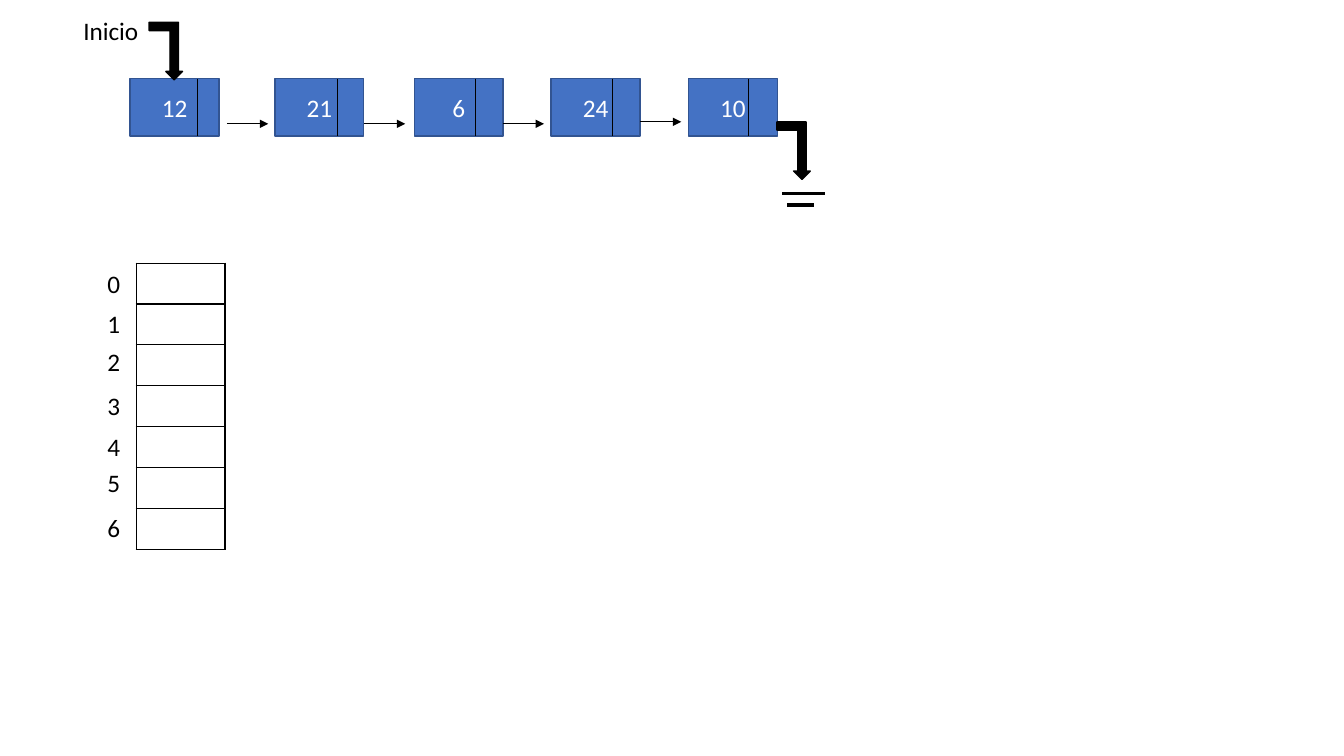
from pptx import Presentation
from pptx.util import Cm, Pt
from pptx.dml.color import RGBColor
from pptx.enum import shapes as sh, text as tx
from pptx.oxml import parse_xml
from pptx.oxml.ns import nsdecls
from lxml import etree

A = "{http://schemas.openxmlformats.org/drawingml/2006/main}"
color = RGBColor.from_string

deck = Presentation()
deck.slide_width, deck.slide_height = Cm(33.87), Cm(19.05)
slide = deck.slides.add_slide(deck.slide_layouts[6])
parts = slide.shapes


def line(x1, y1, x2, y2, width=0.5, arrow=False):
    link = parts.add_connector(sh.MSO_CONNECTOR.STRAIGHT, Cm(x1), Cm(y1), Cm(x2), Cm(y2))
    link.line.color.rgb = color("000000")
    link.line.width = Pt(width)
    if arrow:
        etree.SubElement(link.line._get_or_add_ln(), A + "tailEnd", type="triangle")
    etree.SubElement(link._element.spPr, A + "effectLst")


def label(words, left, top, width, wrap=True):
    box = parts.add_textbox(Cm(left), Cm(top), Cm(width), Cm(1.02))
    frame = box.text_frame
    frame.word_wrap = wrap
    frame.auto_size = tx.MSO_AUTO_SIZE.SHAPE_TO_FIT_TEXT
    para = frame.paragraphs[0]
    para.text = words
    para.font.size, para.font.name = Pt(18), "Calibri"
    para.font.color.rgb = color("000000")


# Nodes of the linked list: value, left edge, offset of the divider
top, wide, high = 1.98, 2.24, 1.45
nodes = [("12", 3.28, 1.7), ("21", 6.93, 1.58), ("6", 10.44, 1.55),
         ("24", 13.89, 1.55), ("10", 17.35, 1.52)]
for value, left, split in nodes:
    node = parts.add_shape(sh.MSO_SHAPE.RECTANGLE, Cm(left), Cm(top), Cm(wide), Cm(high))
    node.shadow.inherit = False
    node.fill.solid()
    node.fill.fore_color.rgb = color("4472C4")
    node.line.color.rgb = color("325491")
    node.line.width = Pt(1)
    node.text_frame.vertical_anchor = tx.MSO_ANCHOR.MIDDLE
    para = node.text_frame.paragraphs[0]
    para.text = value
    para.alignment = tx.PP_ALIGN.CENTER
    para.font.size, para.font.name = Pt(18), "Calibri"
    para.font.color.rgb = color("FFFFFF")
    line(left + split, top, left + split, top + high)

# Links between nodes
for left, y in [(5.72, 3.12), (9.17, 3.12), (12.67, 3.12), (16.13, 3.07)]:
    line(left, y, left + 1.04, y, arrow=True)

# Bent arrows: into the first node, out of the last
for left, y in [(3.76, 0.56), (19.58, 3.07)]:
    bend = parts.add_shape(sh.MSO_SHAPE.BENT_UP_ARROW, Cm(left), Cm(y), Cm(0.84), Cm(1.45))
    bend.shadow.inherit = False
    bend.rotation = 180
    bend._element.spPr.xfrm.set("flipH", "1")
    bend.fill.solid()
    bend.fill.fore_color.rgb = color("000000")
    bend.line.color.rgb = color("000000")
    bend.line.width = Pt(1)
label("Inicio", 1.85, 0.25, 1.91, wrap=False)

# Ground sign for the null link
line(19.71, 4.88, 20.8, 4.88, 2.25)
line(19.84, 5.16, 20.52, 5.16, 3)

# Empty array
count, step = 7, 1.03
grid = parts.add_table(count, 1, Cm(3.43), Cm(6.63), Cm(wide), Cm(count * step)).table
grid.first_row = grid.horz_banding = False
for row in grid.rows:
    row.height = Cm(step)
    cell = row.cells[0]
    props = cell._tc.get_or_add_tcPr()
    for side in ("lnL", "lnR", "lnT", "lnB"):
        props.append(parse_xml(
            f'<a:{side} {nsdecls("a")} w="12700"><a:solidFill>'
            f'<a:srgbClr val="000000"/></a:solidFill></a:{side}>'))
    cell.fill.background()

# Array indexes
for index, y in enumerate([6.63, 7.65, 8.59, 9.7, 10.74, 11.66, 12.78]):
    label(str(index), 2.46, y, 0.76)

deck.save("out.pptx")
